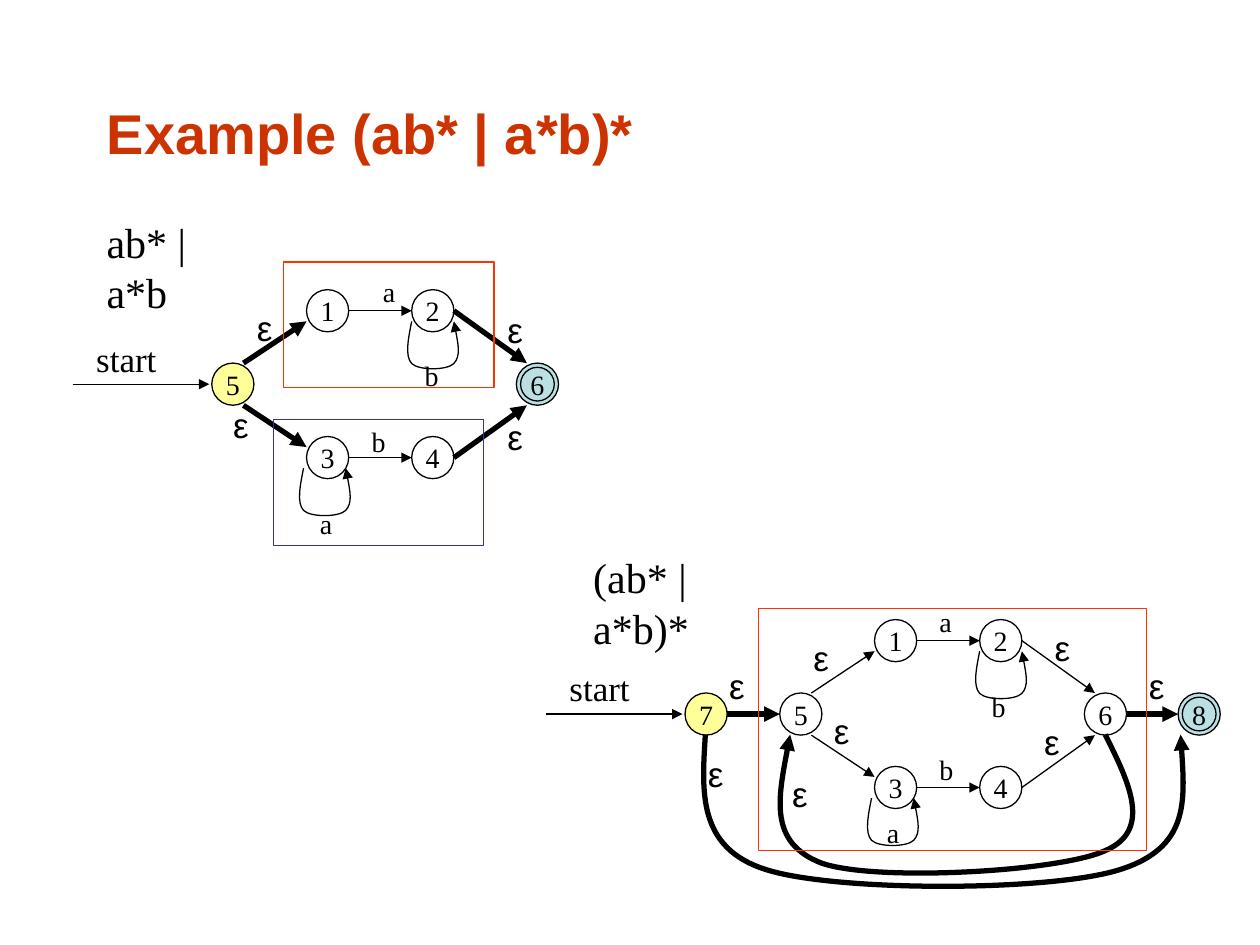
from lxml.etree import SubElement
from pptx import Presentation
from pptx.dml.color import RGBColor
from pptx.enum.shapes import MSO_CONNECTOR as CONN, MSO_SHAPE as SHAPE
from pptx.enum.text import MSO_ANCHOR as ANCHOR, MSO_AUTO_SIZE as AUTO, PP_ALIGN as ALIGN
from pptx.oxml.ns import qn
from pptx.util import Cm, Pt

COLORS = {"ink": "000000", "title": "CC3300", "red": "FF3300", "blue": "333399",
          "start": "FFFF99", "accept": "BBE0E3"}
THIN, THICK = 0.75, 3
D = 0.85
RING = 0.68

TITLE = "Example (ab* | a*b)*"
TITLE_BOX = {"left": Cm(1.9), "top": Cm(1.07), "width": Cm(21.59), "height": Cm(3.18)}
TITLE_FONT = {"name": "Arial", "size": Pt(32), "bold": True}
SERIF = "Times New Roman"
STATE_FONT = {"name": SERIF, "size": Pt(16)}
LABELS = {
    "a": (0.76, 0.94, STATE_FONT),
    "b": (0.78, 0.94, STATE_FONT),
    "ε": (0.81, 1.12, {"name": "Arial", "size": Pt(20)}),
    "start": (1.73, 1.12, {"name": SERIF, "size": Pt(20)}),
    "ab* | a*b": (3.53, 1.27, {"name": SERIF, "size": Pt(24)}),
    "(ab* | a*b)*": (4.52, 1.27, {"name": SERIF, "size": Pt(24)}),
}

STATES = {"1": (1.91, 0), "2": (4.03, 0), "3": (1.91, 2.96), "4": (4.03, 2.96),
          "5": (0, 1.48), "6": (6.14, 1.48)}
LETTER_EDGES = [("1", (1, 0.5), "2", (0, 0.5)), ("3", (1, 0.5), "4", (0, 0.5))]
UNION_EDGES = [("5", (0.75, 0), "1", (0, 0.75)), ("5", (0.75, 1), "3", (0, 0.25)),
               ("4", (1, 0.5), "6", (0.25, 1)), ("2", (1, 0.5), "6", (0.25, 0))]
STAR_EDGES = [("7", (1, 0.5), "5", (0, 0.5)), ("6", (1, 0.5), "8", (0, 0.5))]
LOOP = [(0, 0), (-0.07, 0.35), (-0.14, 0.7), (0, 0.85), (0.14, 0.99), (0.71, 0.99),
        (0.85, 0.85), (0.99, 0.7), (0.92, 0.35), (0.85, 0)]
LOOPS = {"2": (0, 0.64), "3": (-0.06, 0.64)}

AUTOMATA = [
    {
        "origin": (4.27, 5.84), "extra": {}, "start": "5", "accept": "6",
        "edges": [(LETTER_EDGES, THIN), (UNION_EDGES, THICK)],
        "curves": [],
        "frames": [(5.72, 5.28, 4.24, 2.54, "red"), (5.51, 8.46, 4.24, 2.54, "blue")],
        "labels": [("ab* | a*b", 1.9, 4.24), ("a", 7.47, 5.41), ("b", 8.31, 7.11),
                   ("b", 7.24, 8.43), ("a", 6.2, 10.08), ("ε", 4.93, 6.05),
                   ("ε", 4.45, 8), ("ε", 9.98, 6.1), ("ε", 9.98, 8.26)],
    },
    {
        "origin": (15.72, 12.49), "extra": {"7": (-1.91, 1.48), "8": (8.03, 1.48)},
        "start": "7", "accept": "8",
        "edges": [(LETTER_EDGES + UNION_EDGES, THIN), (STAR_EDGES, THICK)],
        "curves": [
            [(22.28, 14.81), (22.76, 15.77), (23.24, 16.74), (22.28, 17.15),
             (21.34, 17.58), (17.63, 17.78), (16.56, 17.4),
             (15.49, 16.99), (15.72, 15.9), (15.93, 14.81)],
            [(14.22, 14.81), (14.15, 15.95), (14.05, 17.09), (15.44, 17.53),
             (16.84, 17.98), (21.18, 17.98), (22.58, 17.53),
             (23.98, 17.09), (23.88, 15.95), (23.8, 14.81)],
        ],
        "frames": [(15.29, 12.27, 7.82, 4.87, "red")],
        "labels": [("(ab* | a*b)*", 11.71, 11), ("a", 18.69, 12.07), ("b", 19.74, 13.77),
                   ("b", 18.69, 15.04), ("a", 17.63, 16.31), ("ε", 14.02, 15.04),
                   ("ε", 15.72, 15.44), ("ε", 14.45, 13.28), ("ε", 22.91, 13.28),
                   ("ε", 16.15, 12.7), ("ε", 16.56, 14.17), ("ε", 20.8, 14.4),
                   ("ε", 21.01, 12.5)],
    },
]


def rgb(name):
    return RGBColor.from_string(COLORS[name])


def apply(obj, fmt):
    for key, value in fmt.items():
        setattr(obj, key, value)


def write(tf, text, font, color="ink", align=ALIGN.LEFT):
    p = tf.paragraphs[0]
    p.alignment = align
    r = p.add_run()
    r.text = text
    apply(r.font, font)
    r.font.color.rgb = rgb(color)


def outline(s, width=THIN, color="ink"):
    s.line.color.rgb = rgb(color)
    s.line.width = Pt(width)


def arrowhead(s):
    SubElement(s.element.spPr.find(qn("a:ln")), qn("a:tailEnd"), type="triangle")


def add_preset(shapes, kind, x, y, w, h, color="ink", fill=None):
    s = shapes.add_shape(kind, Cm(x), Cm(y), Cm(w), Cm(h))
    s.shadow.inherit = False
    if fill:
        s.fill.solid()
        s.fill.fore_color.rgb = rgb(fill)
    else:
        s.fill.background()
    outline(s, color=color)
    return s


def add_state(shapes, name, x, y, fill):
    s = add_preset(shapes, SHAPE.OVAL, x, y, D, D, fill=fill)
    apply(s.text_frame, {"word_wrap": False, "vertical_anchor": ANCHOR.MIDDLE})
    write(s.text_frame, name, STATE_FONT, align=ALIGN.CENTER)


def add_arrow(shapes, x1, y1, x2, y2, width=THIN):
    s = shapes.add_connector(CONN.STRAIGHT, Cm(x1), Cm(y1), Cm(x2), Cm(y2))
    outline(s, width)
    arrowhead(s)
    SubElement(s.element.spPr, qn("a:effectLst"))


def add_curve(shapes, points, width=THIN):
    start, *rest = [(Cm(x), Cm(y)) for x, y in points]
    builder = shapes.build_freeform(*start)
    builder.add_line_segments(rest, close=False)
    s = builder.convert_to_shape()
    s.shadow.inherit = False
    s.fill.background()
    outline(s, width)
    arrowhead(s)
    lines = list(s.element.iter(qn("a:lnTo")))
    outline_path = lines[0].getparent()
    for i in range(0, len(lines), 3):
        bezier = SubElement(outline_path, qn("a:cubicBezTo"))
        for line in lines[i:i + 3]:
            bezier.append(line[0])
            outline_path.remove(line)


def add_label(shapes, text, x, y):
    w, h, font = LABELS[text]
    tf = shapes.add_textbox(Cm(x), Cm(y), Cm(w), Cm(h)).text_frame
    apply(tf, {"word_wrap": False, "auto_size": AUTO.SHAPE_TO_FIT_TEXT})
    write(tf, text, font)


def add_automaton(shapes, a):
    ox, oy = a["origin"]
    states = {n: (ox + x, oy + y) for n, (x, y) in {**STATES, **a["extra"]}.items()}
    fills = {a["start"]: "start", a["accept"]: "accept"}
    for name, (x, y) in states.items():
        add_state(shapes, name, x, y, fills.get(name))
    for edges, width in a["edges"]:
        for tail, (fx, fy), head, (tx, ty) in edges:
            (x1, y1), (x2, y2) = states[tail], states[head]
            add_arrow(shapes, x1 + fx * D, y1 + fy * D, x2 + tx * D, y2 + ty * D, width)
    for name, (dx, dy) in LOOPS.items():
        x, y = states[name]
        add_curve(shapes, [(x + dx + px, y + dy + py) for px, py in LOOP])
    for curve in a["curves"]:
        add_curve(shapes, curve, THICK)
    for *box, color in a["frames"]:
        add_preset(shapes, SHAPE.RECTANGLE, *box, color=color)
    x, y = states[a["start"]]
    add_arrow(shapes, x - 2.8, y + D / 2, x - 0.05, y + D / 2)
    add_label(shapes, "start", x - 2.58, y - 0.65)
    for label in a["labels"]:
        add_label(shapes, *label)
    x, y = states[a["accept"]]
    gap = (D - RING) / 2
    add_preset(shapes, SHAPE.OVAL, x + gap, y + gap, RING, RING)


def main():
    prs = Presentation()
    apply(prs, {"slide_width": Cm(25.4), "slide_height": Cm(19.05)})
    slide = prs.slides.add_slide(prs.slide_layouts[5])
    title = slide.shapes.title
    apply(title, TITLE_BOX)
    apply(title.text_frame, {"vertical_anchor": ANCHOR.MIDDLE, "auto_size": AUTO.NONE})
    write(title.text_frame, TITLE, TITLE_FONT, "title")
    for automaton in AUTOMATA:
        add_automaton(slide.shapes.add_group_shape().shapes, automaton)
    prs.save("out.pptx")


if __name__ == "__main__":
    main()
